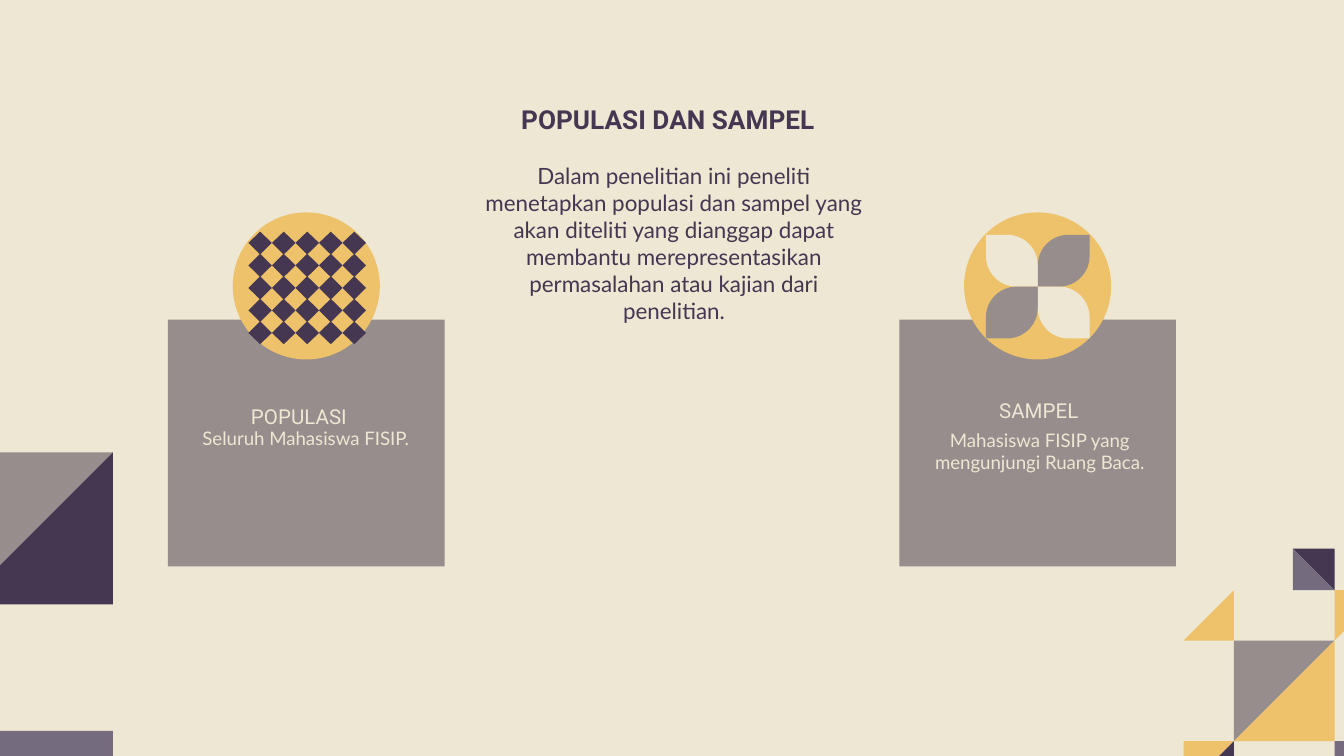
from math import cos, pi, sin

from pptx import Presentation
from pptx.dml.color import RGBColor
from pptx.enum.shapes import MSO_SHAPE
from pptx.enum.text import MSO_ANCHOR, PP_ALIGN
from pptx.util import Pt

CREAM, GREY, YELLOW = "EDE7D3", "968D8C", "EDC26B"
DARK, PURPLE = "453751", "756B7E"
CARD_WIDTH, CARD_HEIGHT = 148.2, 132.3
CIRCLE = 78.8


def paint(fill, color):
    fill.solid()
    fill.fore_color.rgb = RGBColor.from_string(color)


def finish(shape, color):
    paint(shape.fill, color)
    shape.line.fill.background()
    shape.shadow.inherit = False


def add_preset(shapes, kind, box, color):
    finish(shapes.add_shape(kind, *map(Pt, box)), color)


def add_outline(shapes, points, color):
    points = [(Pt(x), Pt(y)) for x, y in points]
    builder = shapes.build_freeform(*points[0])
    builder.add_line_segments(points[1:], close=True)
    finish(builder.convert_to_shape(), color)


def add_text(slide, text, box, font, size, color, bold=False,
             anchor=MSO_ANCHOR.TOP, bottom=7.2):
    """Centred text; bottom is the inset below it."""
    frame = slide.shapes.add_textbox(*map(Pt, box)).text_frame
    frame.word_wrap = True
    frame.vertical_anchor = anchor
    frame.margin_left = frame.margin_right = frame.margin_top = Pt(7.2)
    frame.margin_bottom = Pt(bottom)
    paragraph = frame.paragraphs[0]
    paragraph.text = text
    paragraph.alignment = PP_ALIGN.CENTER
    paragraph.font.name = font
    paragraph.font.size = Pt(size)
    paragraph.font.bold = bold
    paragraph.font.color.rgb = RGBColor.from_string(color)


def add_heading(slide, left, top):
    add_text(slide, "POPULASI DAN SAMPEL", (left, top, 267.8, 74.2),
             "Roboto", 14, DARK, bold=True, anchor=MSO_ANCHOR.MIDDLE)
    add_text(
        slide,
        "Dalam penelitian ini peneliti menetapkan populasi dan sampel yang "
        "akan diteliti yang dianggap dapat membantu merepresentasikan "
        "permasalahan atau kajian dari penelitian.",
        (left + 28.1, top + 53.3, 218.2, 87.8), "Lato", 12, DARK)


def add_diamonds(slide, left, top):
    """Five columns of five diamonds, each column one outline."""
    shapes = slide.shapes.add_group_shape().shapes
    count, width, height = 5, 12.6, 12.06
    waist = 0.2
    for column in range(count):
        x = left + column * width
        middle = x + width / 2
        right_side, left_side = [], []
        for row in range(count):
            y = top + row * height
            right_side += [(middle + (waist if row else 0), y),
                           (x + width, y + height / 2)]
            left_side += [(middle - (waist if row else 0), y),
                          (x, y + height / 2)]
        tip = (middle, top + count * height)
        add_outline(shapes, right_side + [tip] + left_side[:0:-1], DARK)


def add_petal(shapes, left, top, size, mirrored, color):
    """Square rounded at bottom left and top right, or mirrored."""
    radius = 0.59 * size
    angles = [step * pi / 24 for step in range(13)]
    lower = [(radius - radius * cos(a), size - radius + radius * sin(a))
             for a in angles]
    upper = [(size - x, size - y) for x, y in lower]
    points = [(0, 0)] + lower + [(size, size)] + upper
    add_outline(shapes, [(left + (size - x if mirrored else x), top + y)
                         for x, y in points], color)


def add_flower(slide, left, top):
    shapes = slide.shapes.add_group_shape().shapes
    size = 27.75
    for row in range(2):
        for column in range(2):
            mirrored = row != column
            add_petal(shapes, left + column * size, top + row * size, size,
                      mirrored, GREY if mirrored else CREAM)


def add_card(slide, left, top, label, label_box, body, body_left, add_emblem, emblem):
    """Card with a circled emblem on its top edge; inner places are relative."""
    def inside(x, y, width, height):
        return left + x, top + y, width, height

    add_preset(slide.shapes, MSO_SHAPE.RECTANGLE,
               inside(0, 0, CARD_WIDTH, CARD_HEIGHT), GREY)
    circle = inside((CARD_WIDTH - CIRCLE) / 2, -57.4, CIRCLE, CIRCLE)
    add_preset(slide.shapes, MSO_SHAPE.OVAL, circle, YELLOW)
    add_emblem(slide, circle[0] + emblem[0], circle[1] + emblem[1])
    add_text(slide, label, inside(*label_box), "Roboto", 11, CREAM,
             anchor=MSO_ANCHOR.BOTTOM, bottom=20.2)
    add_text(slide, body, inside(body_left, 51.2, 137.5, 87.8),
             "Lato", 10, CREAM)


def add_split_square(shapes, left, top, size, rising, upper, lower):
    """Square cut along a rising or falling diagonal; None leaves a half open."""
    right, bottom = left + size, top + size
    if rising:
        ends = [(left, bottom), (right, top)]
        corners = [(left, top), (right, bottom)]
    else:
        ends = [(left, top), (right, bottom)]
        corners = [(right, top), (left, bottom)]
    for corner, color in zip(corners, (upper, lower)):
        if color:
            add_outline(shapes, ends + [corner], color)


def add_left_squares(slide, left, top, size):
    add_split_square(slide.shapes, left, top, size, True, GREY, DARK)
    add_split_square(slide.shapes, left, top + 149.2, size, False, PURPLE, None)


def add_corner_mosaic(slide, left, top, unit):
    """Large square with half-size squares at its corners and a smaller one above."""
    shapes = slide.shapes.add_group_shape().shapes
    small = 22.3
    tiles = [
        (1, 1, 2, YELLOW and GREY, YELLOW),
        (3, 0, 1, YELLOW, None),
        (0, 0, 1, None, YELLOW),
        (3, 3, 1, PURPLE, None),
        (0, 3, 1, YELLOW, DARK),
    ]
    for column, row, span, upper, lower in tiles:
        add_split_square(shapes, left + column * unit, top + row * unit,
                         span * unit, True, upper, lower)
    add_split_square(shapes, left + 3 * unit - small, top - small, small,
                     False, DARK, PURPLE)


def main():
    presentation = Presentation()
    presentation.slide_width, presentation.slide_height = Pt(720), Pt(405)
    slide = presentation.slides.add_slide(presentation.slide_layouts[6])
    paint(slide.background.fill, CREAM)

    add_card(slide, 90, 171.2, "POPULASI", (-7.9, 23.2, 156.2, 48.2),
             "Seluruh Mahasiswa FISIP.", 5, add_diamonds, (8.4, 10.3))
    add_card(slide, 481.8, 171.2, "SAMPEL", (0.6, 17.4, 148.3, 51.1),
             "Mahasiswa FISIP yang mengunjungi Ruang Baca.", 6.4,
             add_flower, (11.7, 12))
    add_heading(slide, 223.9, 26.6)
    add_left_squares(slide, -20.9, 242.4, 81.4)
    add_corner_mosaic(slide, 634.1, 316.2, 26.95)
    presentation.save("out.pptx")


if __name__ == "__main__":
    main()
